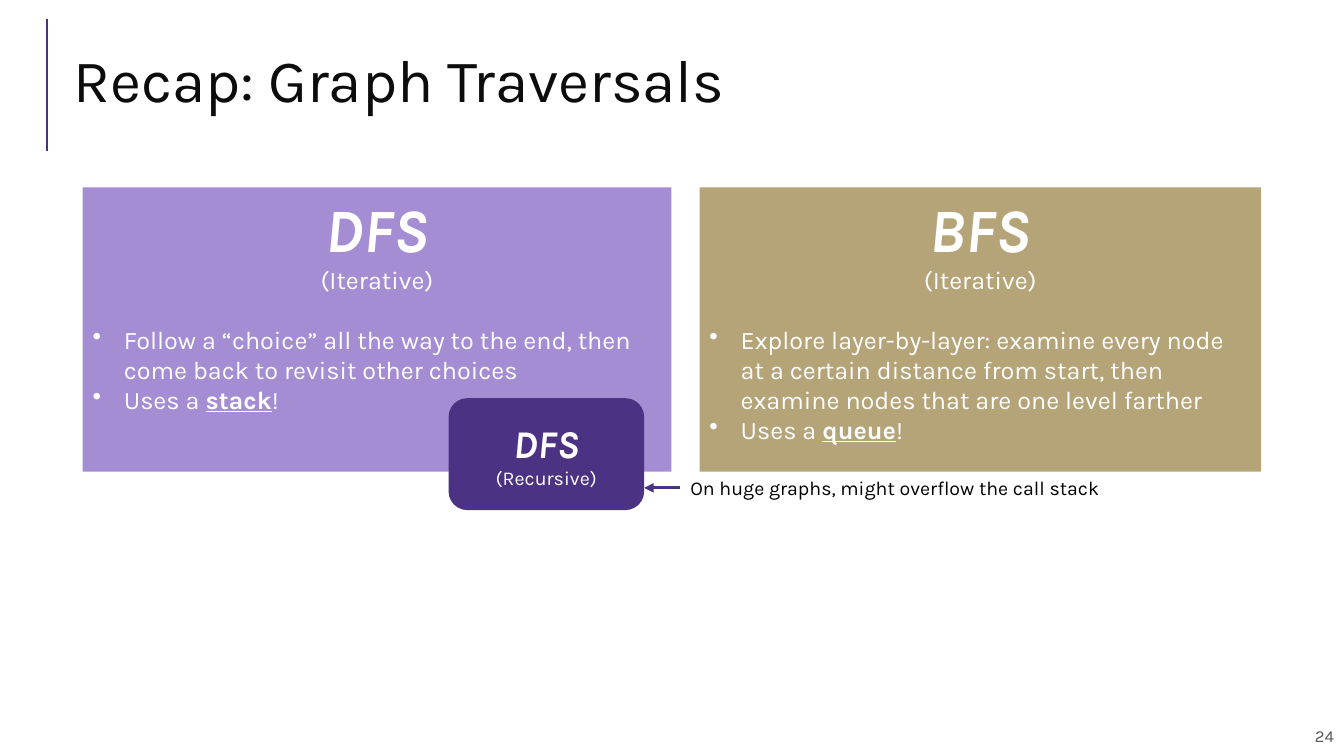
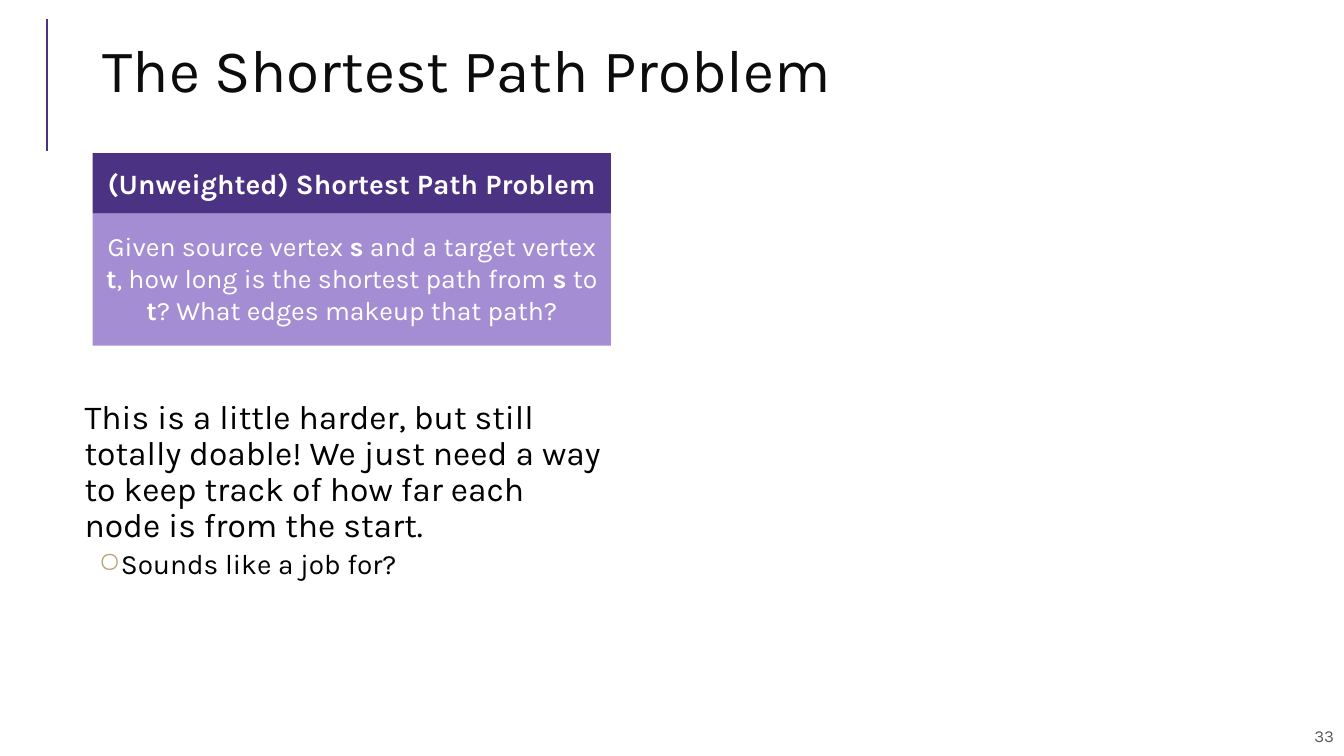
"""Builds two lecture slides: a graph traversal recap and the shortest path problem."""
from dataclasses import dataclass
from typing import Any, NamedTuple

from lxml import etree
from pptx import Presentation
from pptx import util as u
from pptx.dml.color import RGBColor
from pptx.enum import shapes, text
from pptx.oxml import ns

MID, TOP = text.MSO_ANCHOR.MIDDLE, text.MSO_ANCHOR.TOP
LEFT, CENTER, RIGHT = text.PP_ALIGN.LEFT, text.PP_ALIGN.CENTER, text.PP_ALIGN.RIGHT
RECT = shapes.MSO_SHAPE.RECTANGLE
ROUND = shapes.MSO_SHAPE.ROUNDED_RECTANGLE
WIDE, HIGH = u.Inches(13.333), u.Inches(7.5)


@dataclass(frozen=True)
class Theme:
    """Colours, type sizes and font of the deck."""
    font: str = "Karla"
    deep: str = "4C3283"
    light: str = "A48DD3"
    gold: str = "B6A479"
    white: str = "FFFFFF"
    black: str = "000000"
    ink: str = "0C0C0C"
    gray: str = "595959"
    title: int = 43
    hero: int = 44
    badge: int = 28
    lead: int = 24
    head: int = 20
    quote: int = 19
    body: int = 18
    note: int = 14
    foot: int = 12


THEME = Theme()


class Box(NamedTuple):
    """A frame in percent of the slide's width and height."""
    x: float
    y: float
    w: float
    h: float


class Run(NamedTuple):
    """A piece of text with its own font format."""
    text: str
    fmt: dict[str, Any] = {}


class Mark(NamedTuple):
    """A bullet sign with its colour and indents in inches."""
    sign: str
    color: str
    left: float
    hang: float


@dataclass(frozen=True)
class Para:
    """A paragraph of runs with one size and colour."""
    runs: list[Run]
    size: int
    color: str = THEME.white
    align: Any = CENTER
    fmt: Any = None
    mark: Mark | None = None


@dataclass(frozen=True)
class Panel:
    """A traversal summary card."""
    name: str
    box: Box
    fill: str
    idea: str
    store: str


BOLD = {"bold": True}
STRONG = {"bold": True, "underline": True}
SLANT = {"bold": True, "italic": True}
DOT = Mark("•", THEME.white, 0.31, 0.31)
RING = Mark("○", THEME.gold, 0.29, 0.15)

PANELS = [
    Panel("DFS", Box(6.15, 24.8, 43.8, 37.6), THEME.light,
          "Follow a “choice” all the way to the end, then come back to revisit other choices",
          "stack"),
    Panel("BFS", Box(52.05, 24.8, 41.78, 37.6), THEME.gold,
          "Explore layer-by-layer: examine every node at a certain distance from start, "
          "then examine nodes that are one level farther", "queue"),
]


def across(share: float) -> int:
    """Turn a percentage of the slide's width into a length."""
    return round(WIDE * share / 100)


def down(share: float) -> int:
    """Turn a percentage of the slide's height into a length."""
    return round(HIGH * share / 100)


def frame(box: Box) -> tuple[int, int, int, int]:
    """Give a box as left, top, width and height."""
    return across(box.x), down(box.y), across(box.w), down(box.h)


def apply(item: Any, fmt: dict[str, Any]) -> None:
    """Set every format value on an object."""
    for key, value in fmt.items():
        setattr(item, key, value)


def bullet(para: Any, mark: Mark) -> None:
    """Give a paragraph a bullet and a hanging indent."""
    props = para._p.get_or_add_pPr()
    props.set("marL", str(u.Inches(mark.left)))
    props.set("indent", str(-u.Inches(mark.hang)))
    tint = etree.SubElement(props, ns.qn("a:buClr"))
    etree.SubElement(tint, ns.qn("a:srgbClr"), val=mark.color)
    etree.SubElement(props, ns.qn("a:buChar"), char=mark.sign)


def write(shape: Any, paras: list[Para], anchor: Any = MID,
          side: float = 0.1, top: float = 0.05) -> None:
    """Fill a shape with paragraphs."""
    area = shape.text_frame
    apply(area, {
        "word_wrap": True, "vertical_anchor": anchor,
        "margin_left": u.Inches(side), "margin_right": u.Inches(side),
        "margin_top": u.Inches(top), "margin_bottom": u.Inches(0.05),
    })
    for i, spec in enumerate(paras):
        para = area.add_paragraph() if i else area.paragraphs[0]
        apply(para, {"alignment": spec.align, **(spec.fmt or {})})
        if spec.mark:
            bullet(para, spec.mark)
        for part in spec.runs:
            run = para.add_run()
            run.text = part.text
            apply(run.font, {"name": THEME.font, "size": u.Pt(spec.size), **part.fmt})
            run.font.color.rgb = RGBColor.from_string(spec.color)


def label(slide: Any, box: Box, paras: list[Para], **fmt: Any) -> Any:
    """Add a text box."""
    shape = slide.shapes.add_textbox(*frame(box))
    write(shape, paras, **fmt)
    return shape


def block(slide: Any, box: Box, fill: str, paras: list[Para],
          kind: Any = RECT, **fmt: Any) -> Any:
    """Add a filled shape with text."""
    shape = slide.shapes.add_shape(kind, *frame(box))
    shape.shadow.inherit = False
    shape.fill.solid()
    shape.fill.fore_color.rgb = RGBColor.from_string(fill)
    shape.line.fill.background()
    write(shape, paras, **fmt)
    return shape


def rule(slide: Any, start: tuple[float, float], end: tuple[float, float],
         width: float, tip: bool = False) -> Any:
    """Add a straight line, with an arrowhead at its end if asked."""
    line = slide.shapes.add_connector(
        shapes.MSO_CONNECTOR.STRAIGHT, across(start[0]), down(start[1]),
        across(end[0]), down(end[1]))
    line.line.color.rgb = RGBColor.from_string(THEME.deep)
    line.line.width = u.Pt(width)
    if tip:
        etree.SubElement(line.line._get_or_add_ln(), ns.qn("a:tailEnd"), type="triangle")
    etree.SubElement(line._element.spPr, ns.qn("a:effectLst"))
    return line


def page(deck: Any, title: str, box: Box, number: int) -> Any:
    """Add a slide with its side bar, title and number."""
    slide = deck.slides.add_slide(deck.slide_layouts[6])
    rule(slide, (3.5, 20), (3.5, 2.5), 1.5)
    label(slide, Box(64.9, 94.67, 35.1, 5.33),
          [Para([Run(str(number))], THEME.foot, THEME.gray, RIGHT)])
    label(slide, box, [Para([Run(title)], THEME.title, THEME.ink, LEFT,
                            {"line_spacing": 0.8})])
    return slide


def heading(name: str, kind: str, big: int, small: int) -> list[Para]:
    """Give a slanted name with its kind below."""
    return [Para([Run(name, SLANT)], big), Para([Run(f"({kind})")], small)]


def recap(deck: Any) -> None:
    """Draw the traversal recap."""
    slide = page(deck, "Recap: Graph Traversals", Box(4.72, 3.87, 91.73, 14.8), 24)
    for panel in PANELS:
        uses = [Run("Uses a "), Run(panel.store, STRONG), Run("!")]
        block(slide, panel.box, panel.fill, [
            *heading(panel.name, "Iterative", THEME.hero, THEME.body),
            Para([Run(panel.idea)], THEME.body, align=LEFT,
                 fmt={"space_before": u.Pt(21)}, mark=DOT),
            Para(uses, THEME.body, align=LEFT, mark=DOT),
        ], anchor=TOP, top=0.03)
    badge = Box(33.38, 52.67, 14.55, 14.8)
    block(slide, badge, THEME.deep,
          heading("DFS", "Recursive", THEME.badge, THEME.note), kind=ROUND)
    spot = Box(50.63, 62.27, 44.7, 4.53)
    note = label(slide, spot, [Para([Run("On huge graphs, might overflow the call stack")],
                                    THEME.note, THEME.black, LEFT)], anchor=TOP)
    mid = spot.y + spot.h / 2
    arrow = rule(slide, (spot.x, mid), (badge.x + badge.w, mid), 2.25, tip=True)
    arrow.begin_connect(note, 1)


def problem(deck: Any) -> None:
    """Draw the shortest path problem."""
    slide = page(deck, "The Shortest Path Problem", Box(6.9, 4.4, 86.25, 11.07), 33)
    head = Box(6.9, 20.27, 38.55, 8)
    block(slide, head, THEME.deep,
          [Para([Run("(Unweighted) Shortest Path Problem", BOLD)], THEME.head)])
    ask = [
        Run("Given source vertex "), Run("s", BOLD), Run(" and a target vertex "),
        Run("t", BOLD), Run(", how long is the shortest path from "), Run("s", BOLD),
        Run(" to"), Run(" t", BOLD), Run("? What edges makeup that path?"),
    ]
    block(slide, head._replace(y=head.y + head.h, h=17.47), THEME.light,
          [Para(ask, THEME.quote)], anchor=TOP, top=0.16)
    label(slide, Box(5.92, 52.27, 39.52, 32.27), [
        Para([Run("This is a little harder, but still totally doable! We just need a way "
                  "to keep track of how far each node is from the start.")],
             THEME.lead, THEME.black, LEFT, {"line_spacing": 0.9}),
        Para([Run("Sounds like a job for?")], THEME.head, THEME.black, LEFT,
             {"line_spacing": 0.9, "space_before": u.Pt(4), "level": 1}, RING),
    ], anchor=TOP, side=0.05)


def main() -> None:
    """Build and save the deck."""
    deck = Presentation()
    apply(deck, {"slide_width": WIDE, "slide_height": HIGH})
    recap(deck)
    problem(deck)
    deck.save("out.pptx")


if __name__ == "__main__":
    main()
